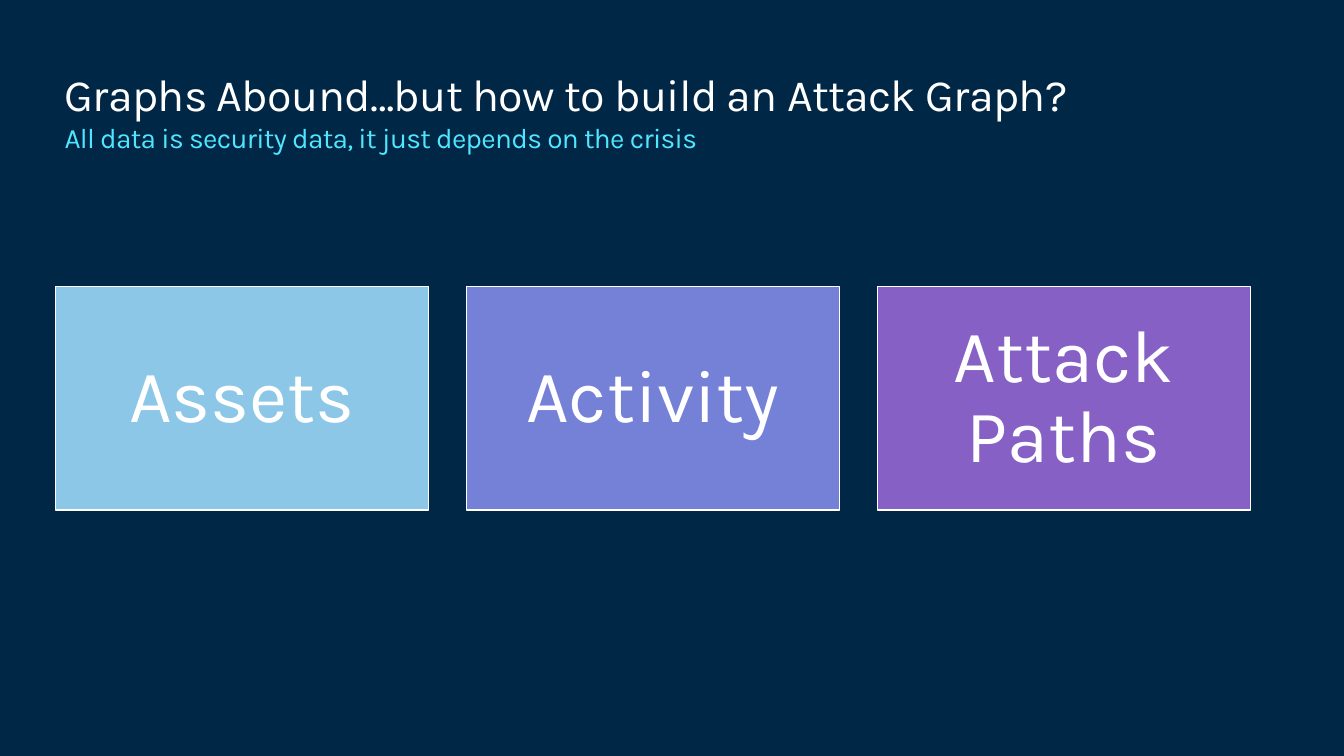
"""Build the attack graph slide with its title and three topic cards."""
from dataclasses import dataclass

from pptx import Presentation
from pptx.dml.color import RGBColor as Rgb
from pptx.enum.shapes import MSO_SHAPE as Shape
from pptx.enum.text import MSO_ANCHOR as Anchor, MSO_AUTO_SIZE as AutoSize, PP_ALIGN as Align
from pptx.util import Inches, Pt


@dataclass(frozen=True)
class Theme:
    font: str = "Karla"
    background: str = "002745"
    white: str = "FFFFFF"
    accent: str = "50E6FF"
    assets: str = "8CC7E7"
    activity: str = "7481D7"
    attack_paths: str = "8660C4"
    title_size: int = 32
    subtitle_size: int = 20
    card_size: int = 53
    outline: float = 0.85


class SlideBuilder:
    def __init__(self, slide, theme):
        self.slide = slide
        self.theme = theme
        self.fill(slide.background.fill, theme.background)

    def apply(self, target, values):
        for name, value in values.items():
            setattr(target, name, value)

    def fill(self, fill, color):
        fill.solid()
        fill.fore_color.rgb = Rgb.from_string(color)

    def frame(self, shape, anchor, inset):
        margins = {f"margin_{side}": Inches(inset) for side in ("left", "top", "right", "bottom")}
        self.apply(shape.text_frame, {"word_wrap": True, "auto_size": AutoSize.NONE,
                                      "vertical_anchor": anchor, **margins})
        return shape.text_frame.paragraphs[0]

    def run(self, paragraph, text, size, color, tracking=0):
        run = paragraph.add_run()
        run.text = text
        self.apply(run.font, {"name": self.theme.font, "size": Pt(size), "bold": False})
        run.font.color.rgb = Rgb.from_string(color)
        if tracking:
            run._r.get_or_add_rPr().set("spc", str(round(tracking * 100)))

    def title(self, heading, subtitle, left, top, width, height):
        title = self.slide.shapes.title
        self.apply(title, {"left": Inches(left), "top": Inches(top),
                           "width": Inches(width), "height": Inches(height)})
        paragraph = self.frame(title, Anchor.TOP, 0)
        paragraph.alignment = Align.LEFT
        self.run(paragraph, heading, self.theme.title_size, self.theme.white, -0.5)
        paragraph.add_line_break()
        self.run(paragraph, subtitle, self.theme.subtitle_size, self.theme.accent, -0.5)

    def card(self, label, color, left, top, width, height):
        card = self.slide.shapes.add_shape(
            Shape.RECTANGLE, Inches(left), Inches(top), Inches(width), Inches(height))
        card.shadow.inherit = False
        self.fill(card.fill, color)
        self.fill(card.line.fill, self.theme.white)
        card.line.width = Pt(self.theme.outline)
        paragraph = self.frame(card, Anchor.MIDDLE, 0.22)
        self.apply(paragraph, {"alignment": Align.CENTER, "line_spacing": 0.9})
        self.run(paragraph, label, self.theme.card_size, self.theme.white)


def main():
    deck = Presentation()
    deck.slide_width, deck.slide_height = Inches(13.33), Inches(7.5)
    theme = Theme()
    builder = SlideBuilder(deck.slides.add_slide(deck.slide_layouts[5]), theme)
    builder.title("Graphs Abound…but how to build an Attack Graph?",
                  "All data is security data, it just depends on the crisis",
                  0.64, 0.66, 12.05, 1.4)

    topics = (("Assets", theme.assets), ("Activity", theme.activity),
              ("Attack Paths", theme.attack_paths))
    card_width, gap = 3.7, 0.375
    for column, (label, color) in enumerate(topics):
        builder.card(label, color, 0.55 + column * (card_width + gap), 2.84, card_width, 2.22)

    deck.save("out.pptx")


if __name__ == "__main__":
    main()
